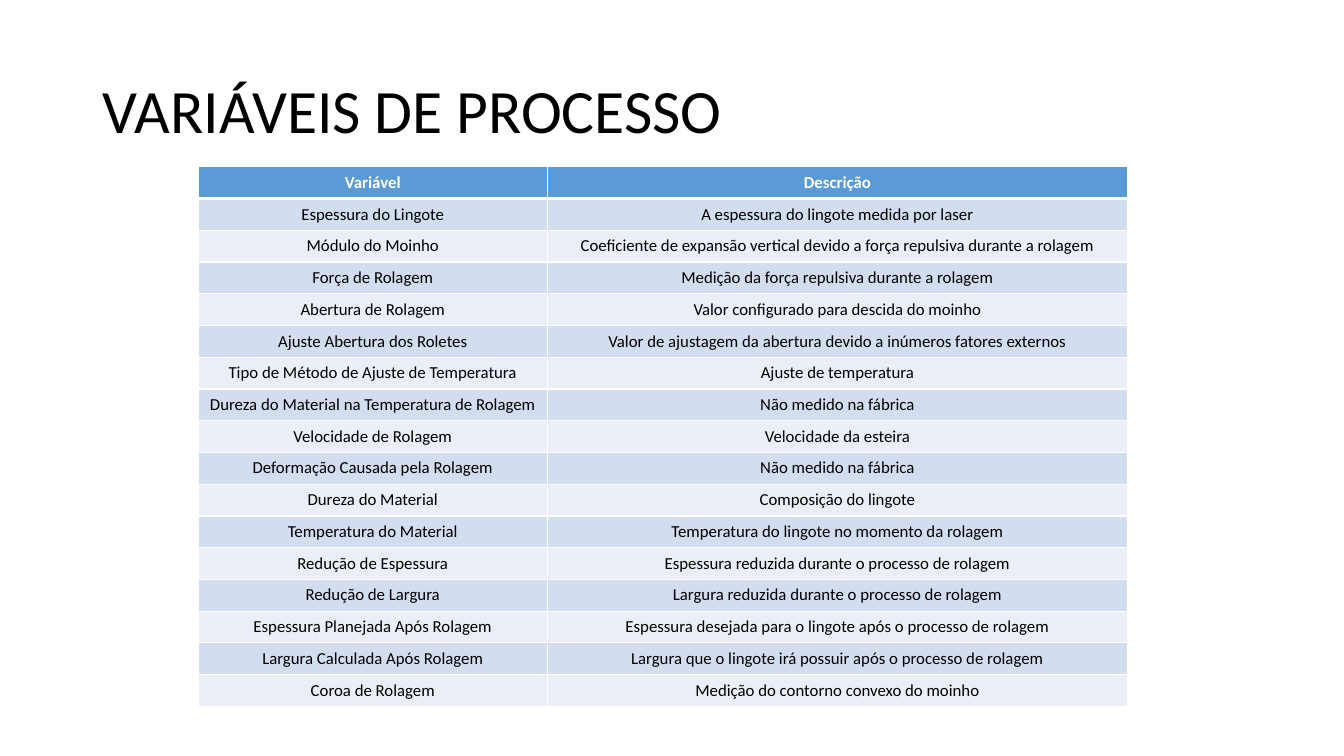
from dataclasses import dataclass

from lxml.etree import SubElement
from pptx import Presentation
from pptx.dml.color import RGBColor
from pptx.enum.text import MSO_ANCHOR, PP_ALIGN
from pptx.oxml.ns import qn
from pptx.slide import Slide
from pptx.table import _Cell
from pptx.util import Cm, Pt

FONT = "Calibri"
BLACK, WHITE = "000000", "FFFFFF"
HEADER_BLUE = "5B9BD5"
BAND_FILLS = ("D2DEEF", "EAEFF7")
COLUMN_WIDTHS = (8.81, 14.61)
ROW_HEIGHT = 0.8


@dataclass(frozen=True)
class Variable:
    name: str
    description: str


@dataclass(frozen=True)
class RowStyle:
    fill: str
    color: str
    bold: bool
    top: float = 1
    bottom: float = 1


HEADER = Variable("Variável", "Descrição")
VARIABLES = (
    Variable("Espessura do Lingote", "A espessura do lingote medida por laser"),
    Variable("Módulo do Moinho",
             "Coeficiente de expansão vertical devido a força repulsiva durante a rolagem"),
    Variable("Força de Rolagem", "Medição da força repulsiva durante a rolagem"),
    Variable("Abertura de Rolagem", "Valor configurado para descida do moinho"),
    Variable("Ajuste Abertura dos Roletes",
             "Valor de ajustagem da abertura devido a inúmeros fatores externos"),
    Variable("Tipo de Método de Ajuste de Temperatura", "Ajuste de temperatura"),
    Variable("Dureza do Material na Temperatura de Rolagem", "Não medido na fábrica"),
    Variable("Velocidade de Rolagem", "Velocidade da esteira"),
    Variable("Deformação Causada pela Rolagem", "Não medido na fábrica"),
    Variable("Dureza do Material", "Composição do lingote"),
    Variable("Temperatura do Material", "Temperatura do lingote no momento da rolagem"),
    Variable("Redução de Espessura", "Espessura reduzida durante o processo de rolagem"),
    Variable("Redução de Largura", "Largura reduzida durante o processo de rolagem"),
    Variable("Espessura Planejada Após Rolagem",
             "Espessura desejada para o lingote após o processo de rolagem"),
    Variable("Largura Calculada Após Rolagem",
             "Largura que o lingote irá possuir após o processo de rolagem"),
    Variable("Coroa de Rolagem", "Medição do contorno convexo do moinho"),
)


def apply_format(target: object, values: dict) -> None:
    for attribute, value in values.items():
        setattr(target, attribute, value)


def set_color(color_format: object, color: str) -> None:
    color_format.rgb = RGBColor.from_string(color)


def format_text(paragraph: object, size: float, color: str, bold: bool = False) -> None:
    font = paragraph.runs[0].font
    apply_format(font, {"name": FONT, "size": Pt(size), "bold": bold})
    set_color(font.color, color)


def set_borders(cell: _Cell, top: float, bottom: float) -> None:
    properties = cell._tc.get_or_add_tcPr()
    for side, width in {"L": 1, "R": 1, "T": top, "B": bottom}.items():
        line = SubElement(properties, qn(f"a:ln{side}"), w=str(Pt(width)))
        fill = SubElement(line, qn("a:solidFill"))
        SubElement(fill, qn("a:srgbClr"), val=WHITE)


def row_style(row: int) -> RowStyle:
    if row == 0:
        return RowStyle(HEADER_BLUE, WHITE, True, bottom=3)
    return RowStyle(BAND_FILLS[(row - 1) % 2], BLACK, False, top=3 if row == 1 else 1)


def fill_cell(cell: _Cell, text: str, style: RowStyle) -> None:
    cell.text = text
    cell.vertical_anchor = MSO_ANCHOR.MIDDLE
    paragraph = cell.text_frame.paragraphs[0]
    paragraph.alignment = PP_ALIGN.CENTER
    format_text(paragraph, 12, style.color, style.bold)
    set_borders(cell, style.top, style.bottom)
    cell.fill.solid()
    set_color(cell.fill.fore_color, style.fill)


def add_title(slide: Slide) -> None:
    title = slide.shapes.title
    apply_format(title, {"left": Cm(2.33), "top": Cm(1.01),
                         "width": Cm(29.21), "height": Cm(3.68)})
    title.text_frame.text = "VARIÁVEIS DE PROCESSO"
    apply_format(title.text_frame, {"vertical_anchor": MSO_ANCHOR.MIDDLE, "word_wrap": True})
    paragraph = title.text_frame.paragraphs[0]
    apply_format(paragraph, {"alignment": PP_ALIGN.LEFT, "line_spacing": 0.9})
    format_text(paragraph, 44, BLACK)


def add_variable_table(slide: Slide) -> None:
    rows = (HEADER, *VARIABLES)
    table = slide.shapes.add_table(
        len(rows), len(COLUMN_WIDTHS), Cm(4.99), Cm(4.2),
        Cm(sum(COLUMN_WIDTHS)), Cm(ROW_HEIGHT * len(rows))).table
    for column, width in zip(table.columns, COLUMN_WIDTHS):
        column.width = Cm(width)
    for index, variable in enumerate(rows):
        table.rows[index].height = Cm(ROW_HEIGHT)
        for column, text in enumerate((variable.name, variable.description)):
            fill_cell(table.cell(index, column), text, row_style(index))


def main() -> None:
    presentation = Presentation()
    apply_format(presentation, {"slide_width": Cm(33.87), "slide_height": Cm(19.05)})
    slide = presentation.slides.add_slide(presentation.slide_layouts[5])

    # Title
    add_title(slide)

    # Process variables
    add_variable_table(slide)

    presentation.save("out.pptx")


if __name__ == "__main__":
    main()
